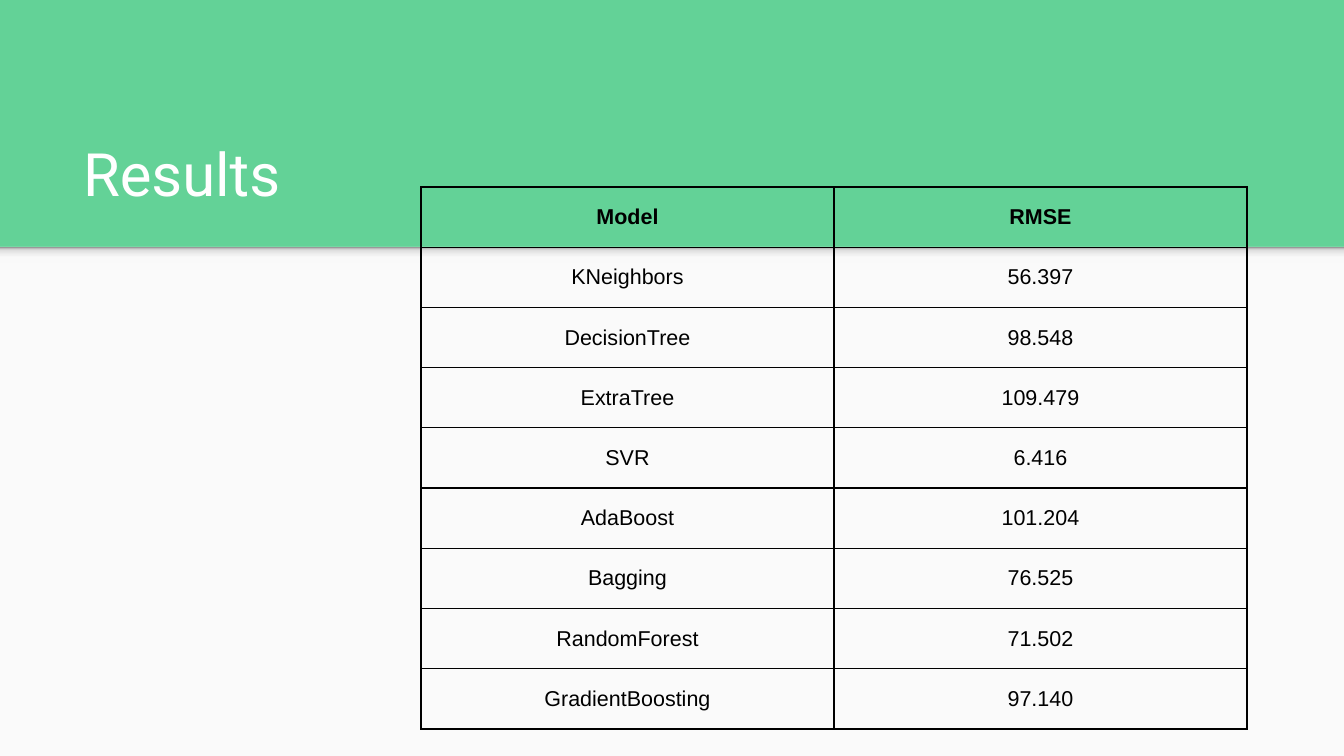
from lxml.etree import SubElement
from pptx import Presentation
from pptx.dml.color import RGBColor
from pptx.enum.shapes import MSO_SHAPE
from pptx.enum.text import MSO_ANCHOR, PP_ALIGN
from pptx.oxml.ns import qn
from pptx.util import Pt

EMU_PER_PX = 914400 / 134.4
GREEN, PAPER, WHITE, BLACK = "63D297", "FAFAFA", "FFFFFF", "000000"
SHADOW_STOPS = [(0, "F9F9F9"), (36, "F9F9F9"), (80, "DEDEDE"), (100, "999999")]
RESULTS = [
    ("Model", "RMSE"),
    ("KNeighbors", "56.397"),
    ("DecisionTree", "98.548"),
    ("ExtraTree", "109.479"),
    ("SVR", "6.416"),
    ("AdaBoost", "101.204"),
    ("Bagging", "76.525"),
    ("RandomForest", "71.502"),
    ("GradientBoosting", "97.140"),
]


def px(length):
    return round(length * EMU_PER_PX)


def color(value):
    return RGBColor.from_string(value)


def write(frame, text, font, size, fill, bold=False, align=PP_ALIGN.LEFT):
    para = frame.paragraphs[0]
    para.alignment = align
    span = para.add_run()
    span.text = text
    span.font.name = font
    span.font.size = Pt(size)
    span.font.bold = bold
    span.font.color.rgb = color(fill)


def add_solid(parent, value):
    fill = SubElement(parent, qn("a:solidFill"))
    SubElement(fill, qn("a:srgbClr"), val=value)


def add_rectangle(page, left, top, width, height, fill):
    box = page.shapes.add_shape(
        MSO_SHAPE.RECTANGLE, px(left), px(top), px(width), px(height)
    )
    box.shadow.inherit = False
    box.fill.solid()
    box.fill.fore_color.rgb = color(fill)
    box.line.fill.background()
    return box


def set_gradient(box, stops, angle):
    box.fill.gradient()
    box.fill.gradient_angle = angle
    stop_list = box.element.spPr.find(qn("a:gradFill")).find(qn("a:gsLst"))
    for stop in list(stop_list):
        stop_list.remove(stop)
    for position, value in stops:
        stop = SubElement(stop_list, qn("a:gs"), pos=str(position * 1000))
        SubElement(stop, qn("a:srgbClr"), val=value)


def set_title(page, text):
    title = page.shapes.title
    title.left, title.top, title.width, title.height = map(px, (70, 109, 1208, 113))
    frame = title.text_frame
    frame.word_wrap = True
    frame.vertical_anchor = MSO_ANCHOR.BOTTOM
    frame.margin_left = frame.margin_right = px(13)
    frame.margin_top = frame.margin_bottom = px(13)
    write(frame, text, "Roboto", 32, WHITE)


def set_borders(cell, value, width):
    properties = cell._tc.get_or_add_tcPr()
    for side in ("a:lnL", "a:lnR", "a:lnT", "a:lnB"):
        line = SubElement(properties, qn(side), w=str(Pt(width)))
        add_solid(line, value)


def add_results_table(page, rows, left, top, width, height):
    frame = page.shapes.add_table(
        len(rows), len(rows[0]), px(left), px(top), px(width), px(height)
    )
    table = frame.table
    table.horz_banding = False
    for row_index, row in enumerate(rows):
        for column_index, text in enumerate(row):
            cell = table.cell(row_index, column_index)
            cell.margin_left = cell.margin_right = px(17)
            cell.margin_top = cell.margin_bottom = px(17)
            cell.vertical_anchor = MSO_ANCHOR.MIDDLE
            set_borders(cell, BLACK, 0.75)
            cell.fill.background()
            write(cell.text_frame, text, "Arial", 11.5, BLACK,
                  bold=row_index == 0, align=PP_ALIGN.CENTER)


def main():
    deck = Presentation()
    deck.slide_width, deck.slide_height = px(1344), px(756)
    page = deck.slides.add_slide(deck.slide_layouts[5])
    page.background.fill.solid()
    page.background.fill.fore_color.rgb = color(GREEN)
    add_rectangle(page, 0, 247, 1344, 509, PAPER)
    shadow = add_rectangle(page, 0, 247, 1344, 16, PAPER)
    set_gradient(shadow, SHADOW_STOPS, 90)
    set_title(page, "Results")
    add_results_table(page, RESULTS, 421, 187, 826, 542)
    deck.save("out.pptx")


if __name__ == "__main__":
    main()
